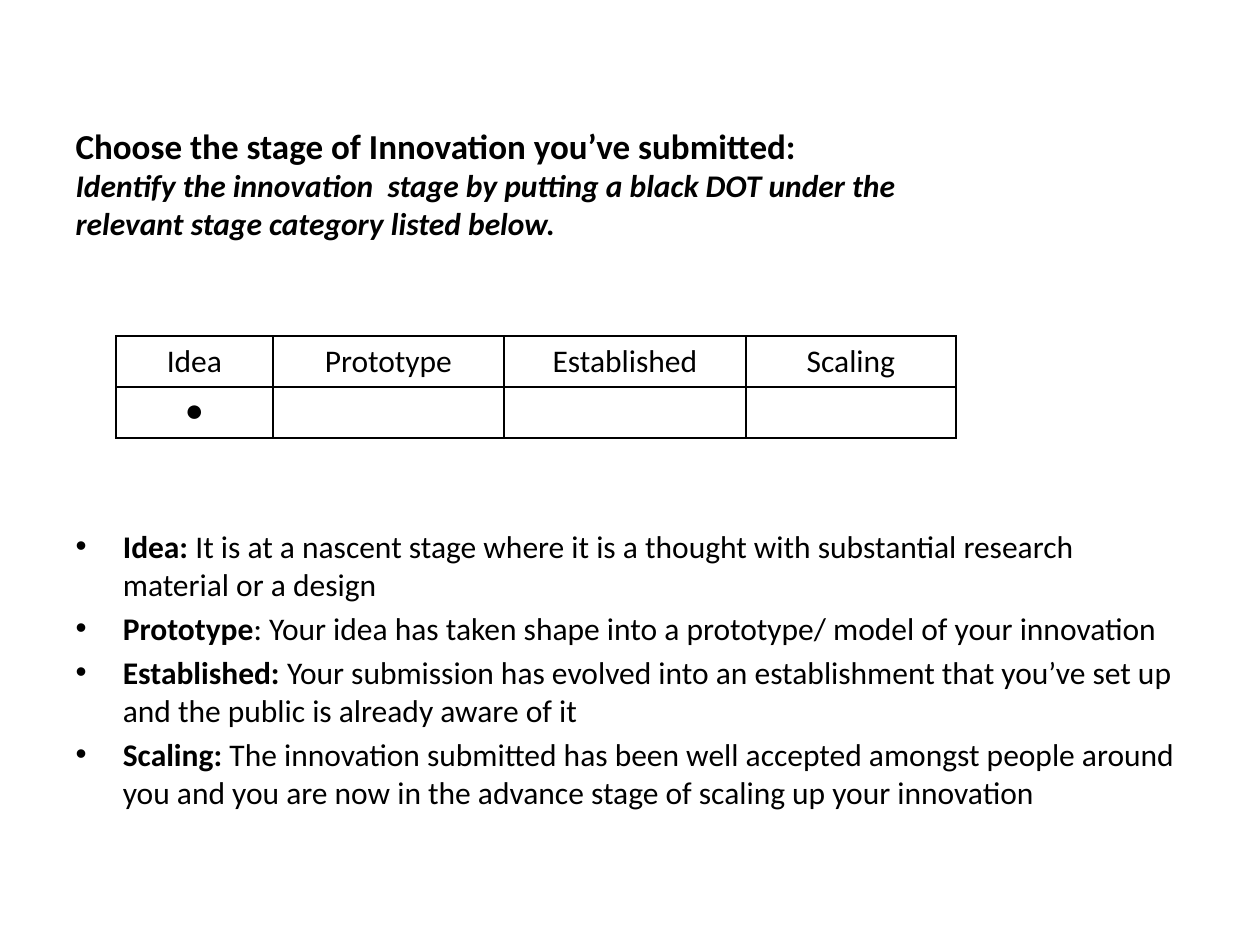
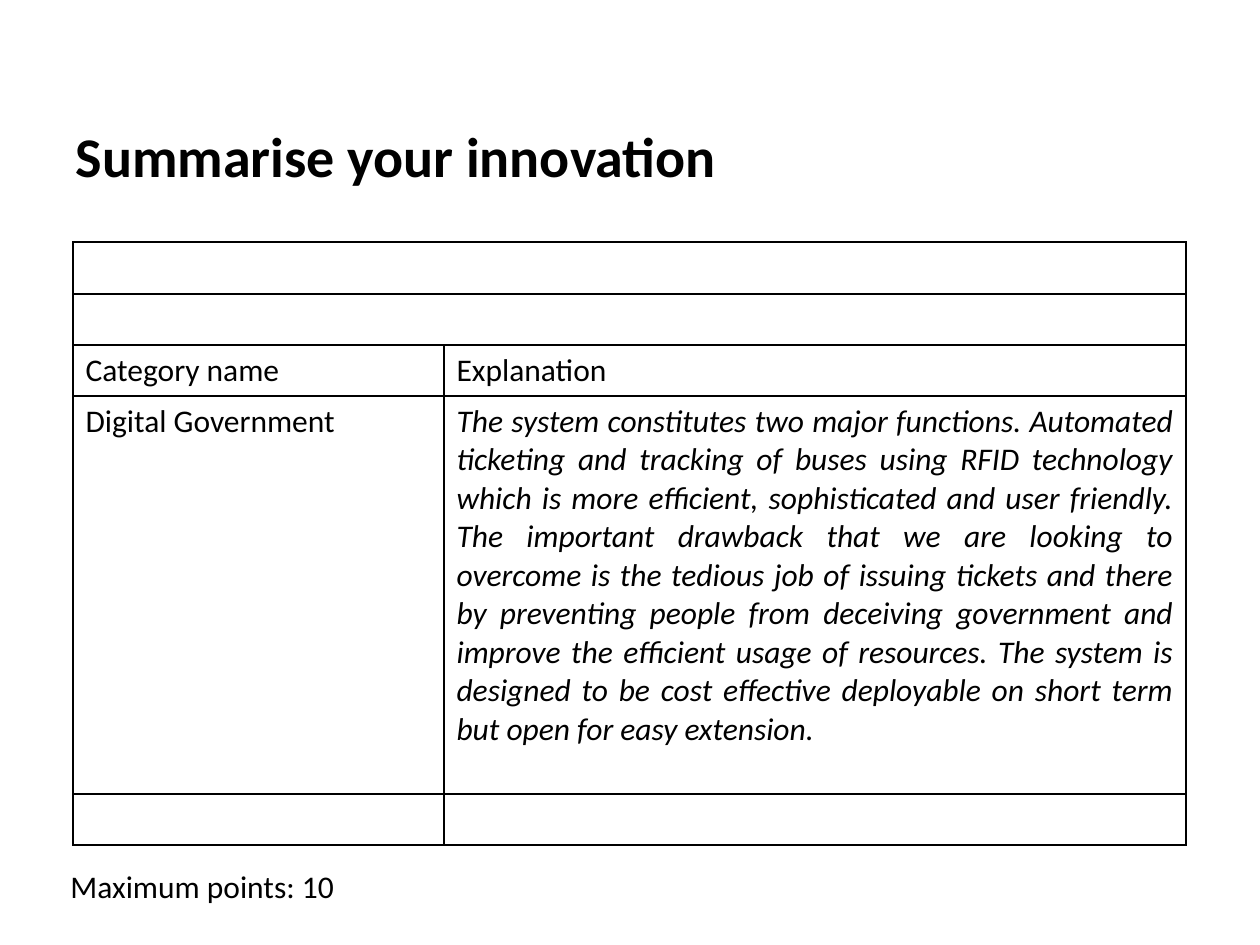
from pptx import Presentation
from pptx.util import Emu, Pt
from pptx.dml.color import RGBColor
from pptx.enum.text import PP_ALIGN, MSO_ANCHOR, MSO_AUTO_SIZE
from lxml import etree

# Shared look
BLACK = RGBColor(0, 0, 0)
FONT = "Calibri"
SIZE = 18
SCALE = 914400 // 126
NS = "http://schemas.openxmlformats.org/drawingml/2006/main"

STAGES = [
    ("Idea:", " It is at a nascent stage where it is a thought with "
     "substantial research material or a design"),
    ("Prototype", ": Your idea has taken shape into a prototype/ model of "
     "your innovation"),
    ("Established:", " Your submission has evolved into an establishment that "
     "you’ve set up and the public is already aware of it"),
    ("Scaling:", " The innovation submitted has been well accepted amongst "
     "people around you and you are now in the advance stage of scaling up "
     "your innovation"),
]
SUMMARY = (
    "The system constitutes two major functions. Automated ticketing and "
    "tracking of buses using RFID technology which is more efficient, "
    "sophisticated and user friendly. The important drawback that we are "
    "looking to overcome is the tedious job of issuing tickets and there by "
    "preventing people from deceiving government and improve the efficient "
    "usage of resources. The system is designed to be cost effective "
    "deployable on short term but open for easy extension.")


def px(n):
    return Emu(n * SCALE)


def style(run, size=SIZE, bold=False, italic=False, font=FONT):
    run.font.name = font
    run.font.size = Pt(size)
    run.font.bold = bold
    run.font.italic = italic
    run.font.color.rgb = BLACK


def place(shape, x, y, w, h):
    shape.left, shape.top, shape.width, shape.height = map(px, (x, y, w, h))
    frame = shape.text_frame
    frame.word_wrap = True
    frame.auto_size = MSO_AUTO_SIZE.NONE
    frame.vertical_anchor = MSO_ANCHOR.TOP
    return frame


def add_title(slide, text, y, h, size):
    """Bold title; lines after the first are smaller and italic."""
    frame = place(slide.shapes.title, 63, y, 872, h)
    frame.text = text
    para = frame.paragraphs[0]
    para.alignment = PP_ALIGN.LEFT
    for i, run in enumerate(para.runs):
        style(run, SIZE if i else size, bold=True, italic=i > 0)


def add_list(slide, items):
    frame = place(slide.placeholders[1], 63, 299, 1134, 623)
    frame.margin_top = px(228)  # keeps the list below the table
    for i, (lead, rest) in enumerate(items):
        para = frame.add_paragraph() if i else frame.paragraphs[0]
        para.text = lead
        para.space_before = Pt(3.6 if i else 0)
        para.add_run().text = rest
        for run, bold in zip(para.runs, (True, False)):
            style(run, bold=bold)


def add_edges(cell):
    """One-point black line on all four sides."""
    props = cell._tc.get_or_add_tcPr()
    for side in ("lnL", "lnR", "lnT", "lnB"):
        line = etree.SubElement(props, f"{{{NS}}}{side}", w=str(Pt(1)))
        fill = etree.SubElement(line, f"{{{NS}}}solidFill")
        etree.SubElement(fill, f"{{{NS}}}srgbClr", val=str(BLACK))


def add_grid(slide, x, y, cols, rows, data):
    table = slide.shapes.add_table(
        len(rows), len(cols), px(x), px(y),
        px(sum(cols)), px(sum(rows))).table
    table.first_row = table.horz_banding = False
    for col, w in zip(table.columns, cols):
        col.width = px(w)
    for row, h in zip(table.rows, rows):
        row.height = px(h)
    for r, line in enumerate(data):
        for c, text in enumerate(line):
            cell = table.cell(r, c)
            add_edges(cell)
            cell.fill.background()
            if text:
                cell.text = text
                style(cell.text_frame.paragraphs[0].runs[0])
    return table


def add_note(slide, text, x, y, w, h):
    frame = place(slide.shapes.add_textbox(0, 0, 0, 0), x, y, w, h)
    frame.word_wrap = False
    frame.text = text
    style(frame.paragraphs[0].runs[0])


def stage_slide(deck):
    slide = deck.slides.add_slide(deck.slide_layouts[1])
    add_title(slide, "Choose the stage of Innovation you’ve submitted:\v"
              "Identify the innovation  stage by putting a black DOT under "
              "the relevant stage category listed below.", 118, 176, 20)
    add_list(slide, STAGES)
    table = add_grid(slide, 116, 336, [157, 231, 242, 210], [51, 51],
                     [["Idea", "Prototype", "Established", "Scaling"],
                      ["●", "", "", ""]])
    for cell in table.iter_cells():
        cell.text_frame.paragraphs[0].alignment = PP_ALIGN.CENTER
    dot = table.cell(1, 0).text_frame.paragraphs[0].runs[0]
    style(dot, font="Arial")


def summary_slide(deck):
    slide = deck.slides.add_slide(deck.slide_layouts[5])
    add_title(slide, "Summarise your innovation", 115, 189, 32)
    table = add_grid(slide, 73, 242, [371, 742], [52, 51, 51, 398, 51],
                     [["", ""], ["", ""],
                      ["Category name", "Explanation"],
                      ["Digital Government", SUMMARY], ["", ""]])
    # Two full-width rows on top
    for r in range(2):
        table.cell(r, 0).merge(table.cell(r, 1))
    para = table.cell(3, 1).text_frame.paragraphs[0]
    para.alignment = PP_ALIGN.JUSTIFY
    style(para.runs[0], italic=True)
    add_note(slide, "Maximum points: 10", 58, 861, 299, 50)


def main():
    deck = Presentation()
    deck.slide_width, deck.slide_height = px(1260), px(945)
    stage_slide(deck)
    summary_slide(deck)
    deck.save("out.pptx")


main()
